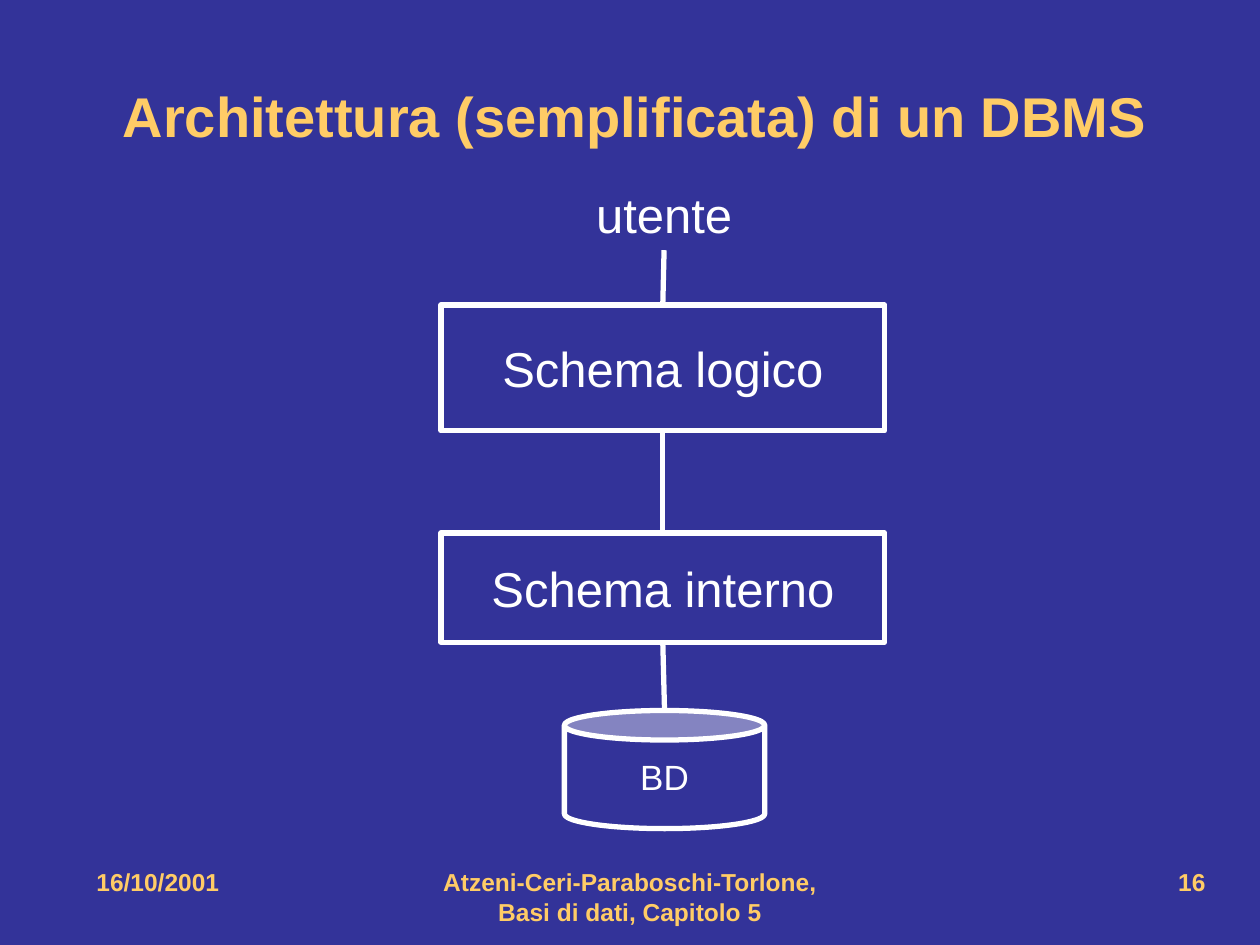
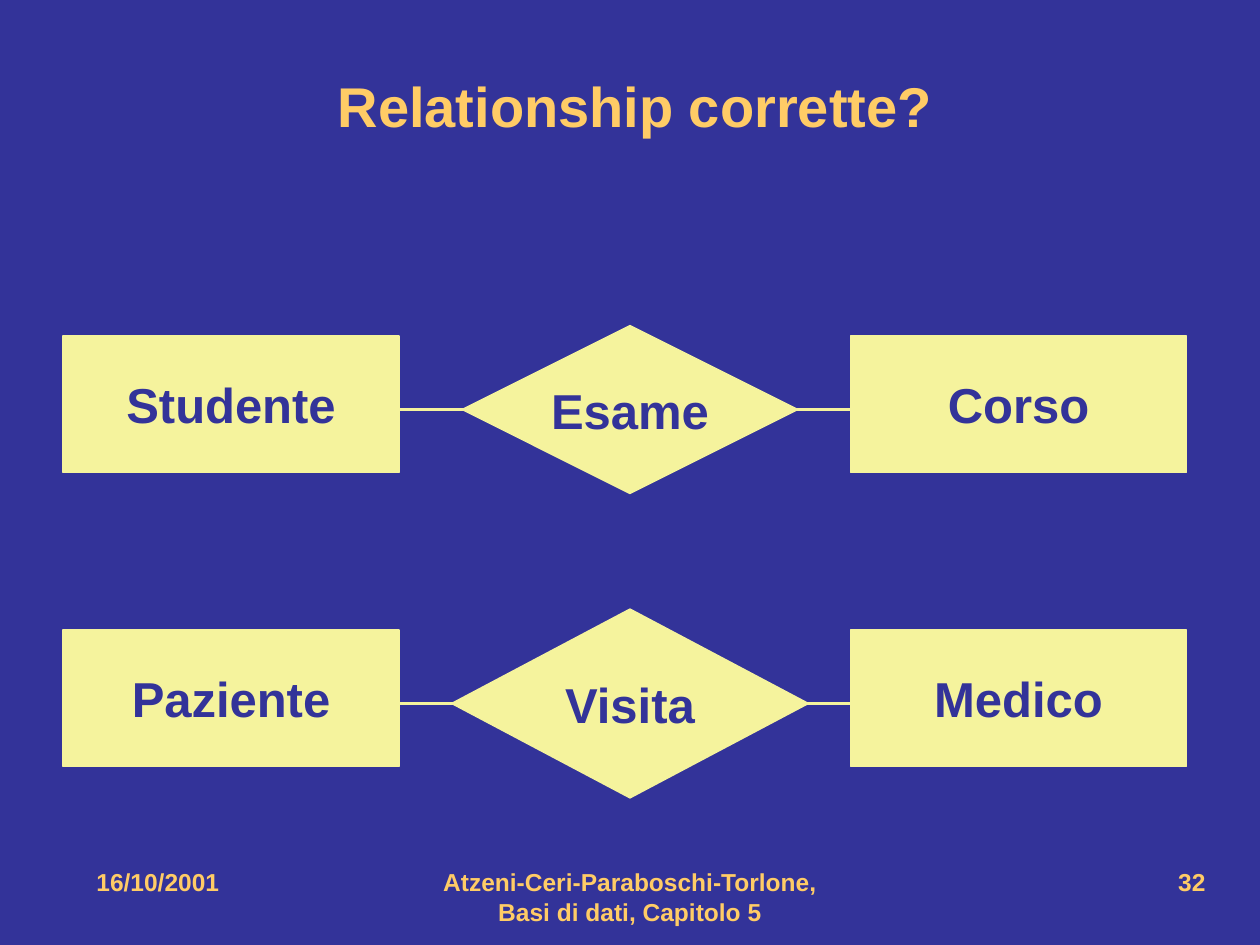
"""Builds two database-design slides: the DBMS architecture and two relationships."""
from lxml import etree
from pptx import Presentation
from pptx.dml.color import RGBColor
from pptx.enum.shapes import MSO_CONNECTOR, MSO_SHAPE
from pptx.enum.text import MSO_ANCHOR, PP_ALIGN
from pptx.oxml.ns import qn
from pptx.util import Pt

STRAIGHT = MSO_CONNECTOR.STRAIGHT
RECTANGLE, DIAMOND, CAN = MSO_SHAPE.RECTANGLE, MSO_SHAPE.DIAMOND, MSO_SHAPE.CAN
TOP, MIDDLE = MSO_ANCHOR.TOP, MSO_ANCHOR.MIDDLE
LEFT, CENTER, RIGHT = PP_ALIGN.LEFT, PP_ALIGN.CENTER, PP_ALIGN.RIGHT

COLORS = {"blue": "333399", "gold": "FFCC66", "white": "FFFFFF", "cream": "F5F39D"}
FONT = "Arial"
SLIDE_WIDTH, SLIDE_HEIGHT = 720, 540

DATE = "16/10/2001"
SOURCE = "Atzeni-Ceri-Paraboschi-Torlone, Basi di dati, Capitolo 5"
FOOTER_TOP, FOOTER_HEIGHT = 492, 36
TITLE_LEFT, TITLE_WIDTH = 36, 654

ARCHITECTURE = {"title": "Architettura (semplificata) di un DBMS",
                "title_top": 0, "title_height": 132, "number": "16"}
USER = ("utente", (333.5, 102, 92, 41))
LEVELS = [
    ("Schema logico", RECTANGLE, 28, (252, 174.25, 253.5, 72)),
    ("Schema interno", RECTANGLE, 28, (252, 304.5, 253.5, 62.5)),
    ("BD", CAN, 20, (322.5, 406, 114.5, 67.5)),
]

RELATIONSHIPS = {"title": "Relationship corrette?",
                 "title_top": 18, "title_height": 84, "number": "32"}
ROWS = [
    ("Studente", "Esame", "Corso", 234, (192, 96)),
    ("Paziente", "Visita", "Medico", 402, (204, 108)),
]
ENTITY_LEFTS = (36, 486)
ENTITY_WIDTH, ENTITY_HEIGHT, ENTITY_RISE = 192, 78, 42
LINK_START, LINK_END = 204, 498


def color(name):
    return RGBColor.from_string(COLORS[name])


def write(box, text, size=28, ink="white", bold=False, align=CENTER,
          anchor=MIDDLE, wrap=False):
    frame = box.text_frame
    frame.word_wrap = wrap
    frame.vertical_anchor = anchor
    para = frame.paragraphs[0]
    para.alignment = align
    span = para.add_run()
    span.text = text
    span.font.name = FONT
    span.font.size = Pt(size)
    span.font.bold = bold
    span.font.color.rgb = color(ink)


def add_text(shapes, text, place, **style):
    write(shapes.add_textbox(*map(Pt, place)), text, **style)


def add_block(shapes, kind, text, place, fill, line, weight, **style):
    block = shapes.add_shape(kind, *map(Pt, place))
    block.shadow.inherit = False
    block.fill.solid()
    block.fill.fore_color.rgb = color(fill)
    block.line.color.rgb = color(line)
    block.line.width = Pt(weight)
    write(block, text, **style)


def add_line(shapes, start, end, line, weight):
    link = shapes.add_connector(STRAIGHT, *map(Pt, start + end))
    link.line.color.rgb = color(line)
    link.line.width = Pt(weight)
    etree.SubElement(link._element.spPr, qn("a:effectLst"))


def add_page(deck, title, title_top, title_height, number):
    page = deck.slides.add_slide(deck.slide_layouts[6])
    page.background.fill.solid()
    page.background.fill.fore_color.rgb = color("blue")
    add_text(page.shapes, title, (TITLE_LEFT, title_top, TITLE_WIDTH, title_height),
             size=32, ink="gold", bold=True, wrap=True)
    for text, left, width, align in ((SOURCE, 246, 228, CENTER),
                                     (number, 516, 180, RIGHT),
                                     (DATE, 48, 156, LEFT)):
        add_text(page.shapes, text, (left, FOOTER_TOP, width, FOOTER_HEIGHT), size=14,
                 ink="gold", bold=True, align=align, anchor=TOP, wrap=True)
    return page


def draw_architecture(deck):
    shapes = add_page(deck, **ARCHITECTURE).shapes
    add_text(shapes, *USER, anchor=TOP)
    for text, kind, size, place in LEVELS:
        add_block(shapes, kind, text, place, "blue", "white", 3, size=size)
    places = [USER[1]] + [level[-1] for level in LEVELS]
    for upper, lower in zip(places, places[1:]):
        start = (upper[0] + upper[2] / 2, upper[1] + upper[3])
        end = (lower[0] + lower[2] / 2, lower[1])
        add_line(shapes, start, end, "white", 3)


def draw_relationships(deck):
    shapes = add_page(deck, **RELATIONSHIPS).shapes
    look = {"fill": "cream", "line": "cream", "weight": 0.75, "ink": "blue", "bold": True}
    for first, relationship, second, middle, (width, height) in ROWS:
        group = shapes.add_group_shape().shapes
        add_line(group, (LINK_START, middle), (LINK_END, middle), "cream", 2.25)
        diamond = ((SLIDE_WIDTH - width) / 2, middle - height / 2, width, height)
        add_block(group, DIAMOND, relationship, diamond, **look)
        for entity, left in zip((first, second), ENTITY_LEFTS):
            place = (left, middle - ENTITY_RISE, ENTITY_WIDTH, ENTITY_HEIGHT)
            add_block(shapes, RECTANGLE, entity, place, **look)


def main():
    deck = Presentation()
    deck.slide_width, deck.slide_height = Pt(SLIDE_WIDTH), Pt(SLIDE_HEIGHT)
    draw_architecture(deck)
    draw_relationships(deck)
    deck.save("out.pptx")


if __name__ == "__main__":
    main()
